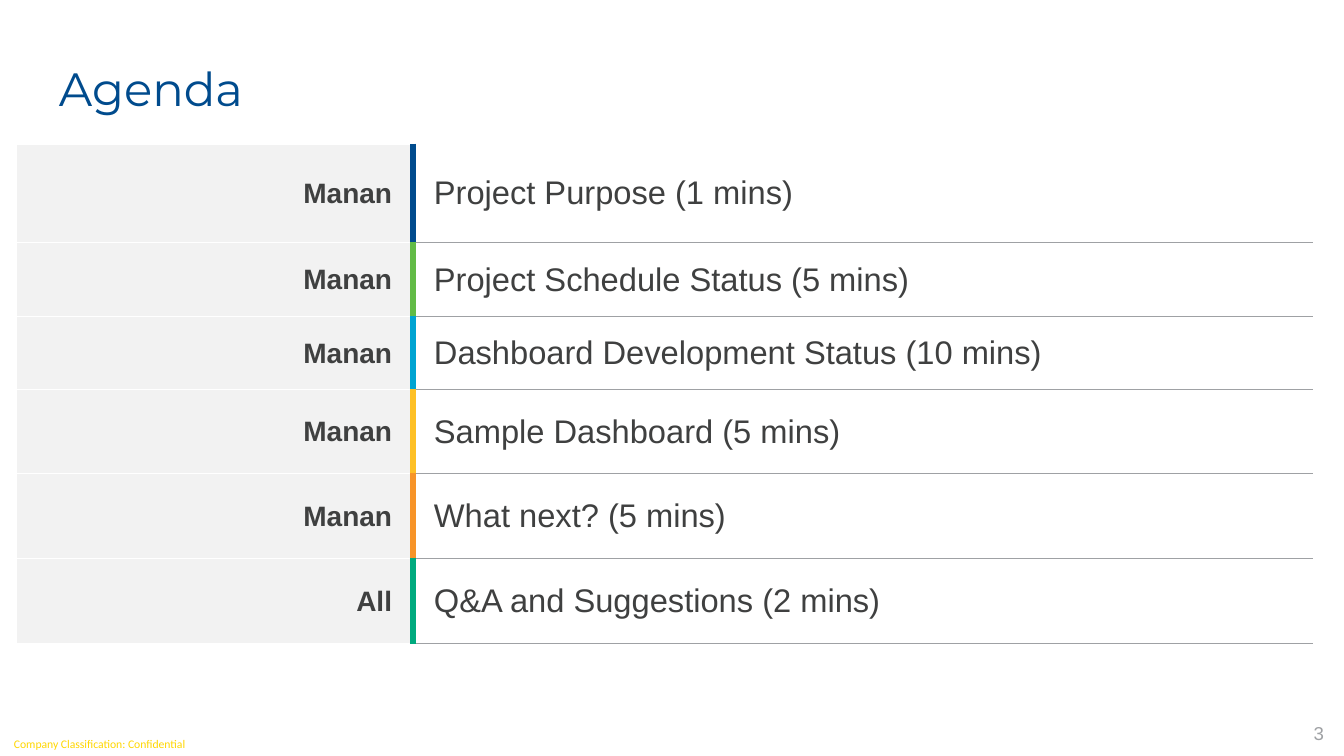
from lxml import etree
from pptx import Presentation
from pptx import util as u
from pptx.dml.color import RGBColor
from pptx.enum import text
from pptx.oxml import ns

PX = 914400 // 84
GREY, WHITE, RULE = "3F4040", "FFFFFF", "9FA1A4"


def style(frame, words, font, size, color, align, anchor, bold=False):
    frame.text = words
    frame.word_wrap = True
    frame.vertical_anchor = anchor
    para = frame.paragraphs[0]
    para.alignment = align
    span = para.runs[0].font
    span.name, span.size, span.bold = font, u.Pt(size), bold
    span.color.rgb = RGBColor.from_string(color)


def border(cell, side, color, width):
    line = etree.SubElement(cell._tc.get_or_add_tcPr(), ns.qn("a:ln" + side),
                            w=str(u.Pt(width)))
    fill = etree.SubElement(line, ns.qn("a:solidFill"))
    etree.SubElement(fill, ns.qn("a:srgbClr"), val=color)


deck = Presentation()
deck.slide_width, deck.slide_height = 1344 * PX, 756 * PX
page = deck.slides.add_slide(deck.slide_layouts[6])
LEFT, RIGHT, CENTER = text.PP_ALIGN.LEFT, text.PP_ALIGN.RIGHT, text.PP_ALIGN.CENTER
TOP, MIDDLE, BOTTOM = (text.MSO_ANCHOR.TOP, text.MSO_ANCHOR.MIDDLE,
                       text.MSO_ANCHOR.BOTTOM)

# Title, page number and classification: place, insets (x, y), text style
labels = [
    ((46, 30, 1252, 93), (13, 7), "Agenda", "Montserrat", 40, "004B8D", LEFT, BOTTOM),
    ((1208, 718, 124, 31), (8, 4), "3", "Arial", 16, RULE, RIGHT, TOP),
    ((0, 732, 199, 24), (0, 0), "Company Classification: Confidential",
     "Calibri", 10, "FFD700", CENTER, MIDDLE),
]
for place, (inset_x, inset_y), *look in labels:
    box = page.shapes.add_textbox(*(n * PX for n in place))
    frame = box.text_frame
    frame.margin_left = frame.margin_right = inset_x * PX
    frame.margin_top = frame.margin_bottom = inset_y * PX
    style(frame, *look)

# Agenda table: row height, presenter, topic, accent colour
agenda = [
    (99, "Manan", "Project Purpose (1 mins)", "004B8D"),
    (74, "Manan", "Project Schedule Status (5 mins)", "62BB46"),
    (73, "Manan", "Dashboard Development Status (10 mins)", "00A4D2"),
    (84, "Manan", "Sample Dashboard (5 mins)", "FEC026"),
    (85, "Manan", "What next? (5 mins)", "F79428"),
    (85, "All", "Q&A and Suggestions (2 mins)", "00AA7E"),
]
table = page.shapes.add_table(len(agenda), 2, 16 * PX, 144 * PX,
                              1297 * PX, 500 * PX).table
table.first_row = table.horz_banding = False
table.columns[0].width, table.columns[1].width = 397 * PX, 900 * PX

for index, (height, presenter, topic, accent) in enumerate(agenda):
    table.rows[index].height = height * PX
    who, what = table.cell(index, 0), table.cell(index, 1)
    who.margin_left, who.margin_right = 8 * PX, 21 * PX
    what.margin_left, what.margin_right = 21 * PX, 8 * PX
    style(who.text_frame, presenter, "Arial", 24, GREY, RIGHT, None, True)
    style(what.text_frame, topic, "Arial", 28, GREY, LEFT, None)

    # Borders: accent bar between the columns, grey rules under the topics
    upper = RULE if index else WHITE
    for cell, colors in ((who, (WHITE, accent, WHITE, WHITE)),
                         (what, (accent, WHITE, upper, RULE))):
        cell.vertical_anchor = MIDDLE
        cell.margin_top = cell.margin_bottom = 4 * PX
        for side, color in zip("LRTB", colors):
            border(cell, side, color, 6 if color == accent else 1)
    who.fill.solid()
    who.fill.fore_color.rgb = RGBColor.from_string("F2F2F2")
    what.fill.background()

deck.save("out.pptx")
